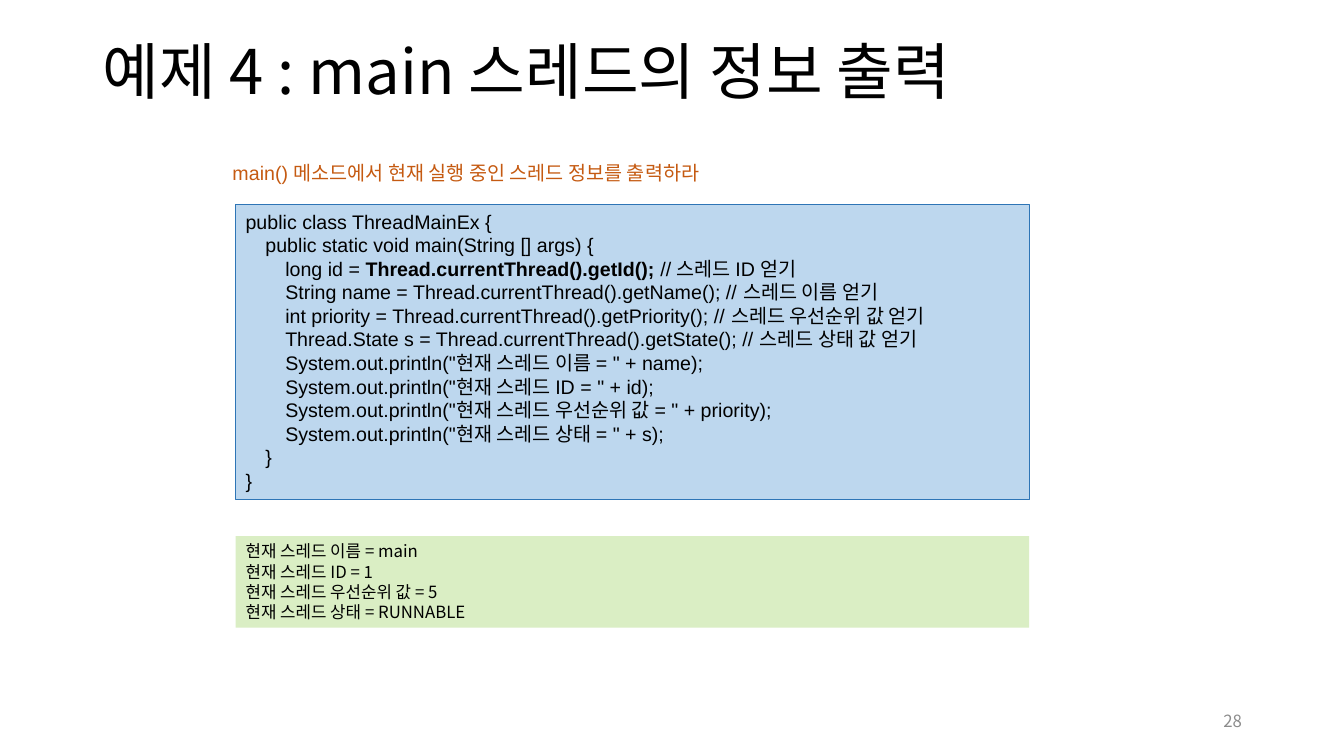
import pptx
import pptx.util
import pptx.dml.color
import pptx.enum.shapes
import pptx.enum.text
import pptx.oxml.ns
from lxml import etree

Cm, Pt = pptx.util.Cm, pptx.util.Pt
RGBColor = pptx.dml.color.RGBColor
ALIGN, ANCHOR = pptx.enum.text.PP_ALIGN, pptx.enum.text.MSO_ANCHOR

BLACK = RGBColor(0x00, 0x00, 0x00)
GREY = RGBColor(0x8C, 0x8C, 0x8C)
ORANGE = RGBColor(0xC5, 0x5A, 0x11)
CODE_FILL = RGBColor(0xBD, 0xD7, 0xEE)
CODE_LINE = RGBColor(0x2E, 0x75, 0xB6)
OUTPUT_FILL = RGBColor(0xDA, 0xEE, 0xC4)
LATIN, KOREAN = "Arial", "Noto Sans CJK KR"
TAB = Cm(0.5)

CODE = [
    [("public class ThreadMainEx {", False)],
    [("\tpublic static void main(String [] args) {", False)],
    [("\t\tlong id = ", False), ("Thread.currentThread().getId();", True), (" // 스레드 ID 얻기", False)],
    [("\t\tString name = Thread.currentThread().getName(); // 스레드 이름 얻기", False)],
    [("\t\tint priority = Thread.currentThread().getPriority(); // 스레드 우선순위 값 얻기", False)],
    [("\t\tThread.State s = Thread.currentThread().getState(); // 스레드 상태 값 얻기", False)],
    [('\t\tSystem.out.println("현재 스레드 이름 = " + name);', False)],
    [('\t\tSystem.out.println("현재 스레드 ID = " + id);', False)],
    [('\t\tSystem.out.println("현재 스레드 우선순위 값 = " + priority);', False)],
    [('\t\tSystem.out.println("현재 스레드 상태 = " + s);', False)],
    [("\t}", False)],
    [("}", False)],
]
OUTPUT = [
    [(line, False)]
    for line in ("현재 스레드 이름 = main", "현재 스레드 ID = 1",
                 "현재 스레드 우선순위 값 = 5", "현재 스레드 상태 = RUNNABLE")
]


def place(shape, box):
    shape.left, shape.top, shape.width, shape.height = box


def add_tab_stops(para):
    stops = etree.SubElement(para._p.get_or_add_pPr(), pptx.oxml.ns.qn("a:tabLst"))
    for level in (1, 2):
        etree.SubElement(stops, pptx.oxml.ns.qn("a:tab"), pos=str(TAB * level), algn="l")


def write(shape, lines, size, font, color, spacing, align=ALIGN.LEFT, anchor=ANCHOR.TOP):
    """Fill a shape with lines, each a list of (text, bold) runs."""
    frame = shape.text_frame
    frame.word_wrap = True
    frame.vertical_anchor = anchor
    for index, line in enumerate(lines):
        para = frame.paragraphs[0] if index == 0 else frame.add_paragraph()
        para.alignment = align
        para.line_spacing = spacing
        if line[0][0].startswith("\t"):
            add_tab_stops(para)
        for text, bold in line:
            span = para.add_run()
            span.text = text
            span.font.size = Pt(size)
            span.font.bold = bold
            span.font.color.rgb = color
            span.font.name = font
            etree.SubElement(span._r.get_or_add_rPr(), pptx.oxml.ns.qn("a:ea"), typeface=KOREAN)


def add_title(page, box):
    title = page.shapes.title
    place(title, box)
    write(title, [[("예제 4 : main 스레드의 정보 출력", False)]], 44, KOREAN, BLACK, 0.9,
          anchor=ANCHOR.MIDDLE)


def add_caption(page, box):
    caption = page.shapes.add_textbox(*box)
    write(caption, [[("main() 메소드에서 현재 실행 중인 스레드 정보를 출력하라", False)]],
          14, LATIN, ORANGE, Pt(16.8))


def add_panel(page, box, fill, line=None):
    panel = page.shapes.add_shape(pptx.enum.shapes.MSO_SHAPE.RECTANGLE, *box)
    panel.shadow.inherit = False
    panel.fill.solid()
    panel.fill.fore_color.rgb = fill
    if line is None:
        panel.line.fill.background()
    else:
        panel.line.color.rgb = line
        panel.line.width = Pt(0.75)
    return panel


def add_code(page, box):
    write(add_panel(page, box, CODE_FILL, CODE_LINE), CODE, 14, LATIN, BLACK, Pt(16.8))


def add_output(page, box):
    write(add_panel(page, box, OUTPUT_FILL), OUTPUT, 12, KOREAN, BLACK, Pt(14.4))


def add_page_number(page, box):
    number = page.shapes.add_textbox(*box)
    write(number, [[("28", False)]], 12, KOREAN, GREY, 1.0, ALIGN.RIGHT, ANCHOR.MIDDLE)


deck = pptx.Presentation()
deck.slide_width, deck.slide_height = Cm(33.87), Cm(19.05)
page = deck.slides.add_slide(deck.slide_layouts[5])

# Heading and task
add_title(page, (Cm(2.33), Cm(0.05), Cm(29.21), Cm(3.68)))
add_caption(page, (Cm(5.61), Cm(3.94), Cm(18.39), Cm(0.86)))

# Program and its output share one column
column_left, column_width = Cm(5.94), Cm(20)
add_code(page, (column_left, Cm(5.16), column_width, Cm(7.44)))
add_output(page, (column_left, Cm(13.51), column_width, Cm(2.31)))

# Footer
add_page_number(page, (Cm(23.93), Cm(17.65), Cm(7.62), Cm(1.02)))

deck.save("out.pptx")
